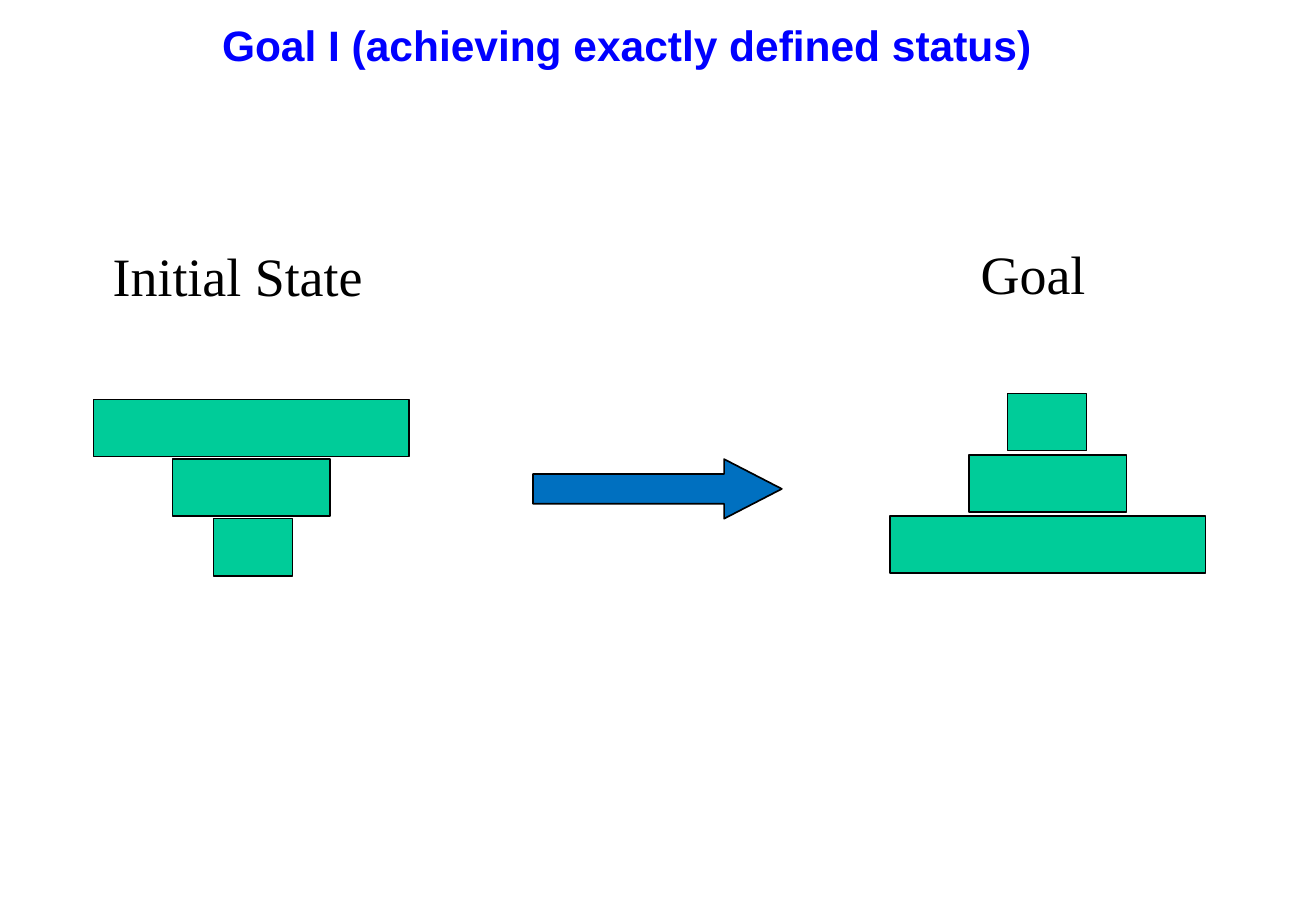
from pptx import Presentation
from pptx.dml.color import RGBColor
from pptx.enum import shapes, text
from pptx.util import Inches, Pt

BLACK = RGBColor(0x00, 0x00, 0x00)
TITLE_BLUE = RGBColor(0x00, 0x00, 0xFF)
ARROW_BLUE = RGBColor(0x00, 0x70, 0xC0)
BLOCK_GREEN = RGBColor(0x00, 0xCC, 0x99)

TITLE_FORMAT = {"name": "Arial", "size": Pt(25.2), "bold": True}
LABEL_FORMAT = {"name": "Times New Roman", "size": Pt(32), "bold": False}

# wording, (left, top, width, height), line spacing, colour, font format
TEXTS = [
    ("Goal I (achieving exactly defined status)", (1.58, 0.19, 7.17, 0.83),
     0.8, TITLE_BLUE, TITLE_FORMAT),
    ("Initial State", (0.66, 1.95, 2.6, 0.64), 1.0, BLACK, LABEL_FORMAT),
    ("Goal", (7.21, 1.93, 2.6, 0.64), 1.0, BLACK, LABEL_FORMAT),
]

# top, step down to the next block, (centre, width) of each block from the top
STACKS = [
    (3.29, 0.49, [(2.07, 2.6), (2.07, 1.3), (2.085, 0.65)]),
    (3.24, 0.505, [(8.625, 0.65), (8.63, 1.3), (8.63, 2.6)]),
]
BLOCK_HEIGHT = 0.47
ARROW_PLACE = (4.39, 3.78, 2.05, 0.49)


def add_outlined(page, kind, place, color):
    shape = page.shapes.add_shape(kind, *map(Inches, place))
    shape.shadow.inherit = False
    shape.fill.solid()
    shape.fill.fore_color.rgb = color
    shape.line.color.rgb = BLACK
    shape.line.width = Pt(1)
    return shape


def add_text(page, wording, place, spacing, color, font_format):
    box = page.shapes.add_textbox(*map(Inches, place))
    box.text_frame.word_wrap = True
    para = box.text_frame.paragraphs[0]
    para.alignment = text.PP_ALIGN.CENTER
    para.line_spacing = spacing
    span = para.add_run()
    span.text = wording
    span.font.color.rgb = color
    for key, value in font_format.items():
        setattr(span.font, key, value)


def main():
    deck = Presentation()
    deck.slide_width, deck.slide_height = Inches(10.84), Inches(7.5)
    page = deck.slides.add_slide(deck.slide_layouts[6])

    for top, step, blocks in STACKS:
        for row, (centre, width) in enumerate(blocks):
            place = (centre - width / 2, top + row * step, width, BLOCK_HEIGHT)
            add_outlined(page, shapes.MSO_SHAPE.RECTANGLE, place, BLOCK_GREEN)

    for item in TEXTS:
        add_text(page, *item)

    arrow = add_outlined(page, shapes.MSO_SHAPE.RIGHT_ARROW, ARROW_PLACE, ARROW_BLUE)
    arrow.adjustments[0] = 0.5
    arrow.adjustments[1] = 0.97

    deck.save("out.pptx")


if __name__ == "__main__":
    main()
